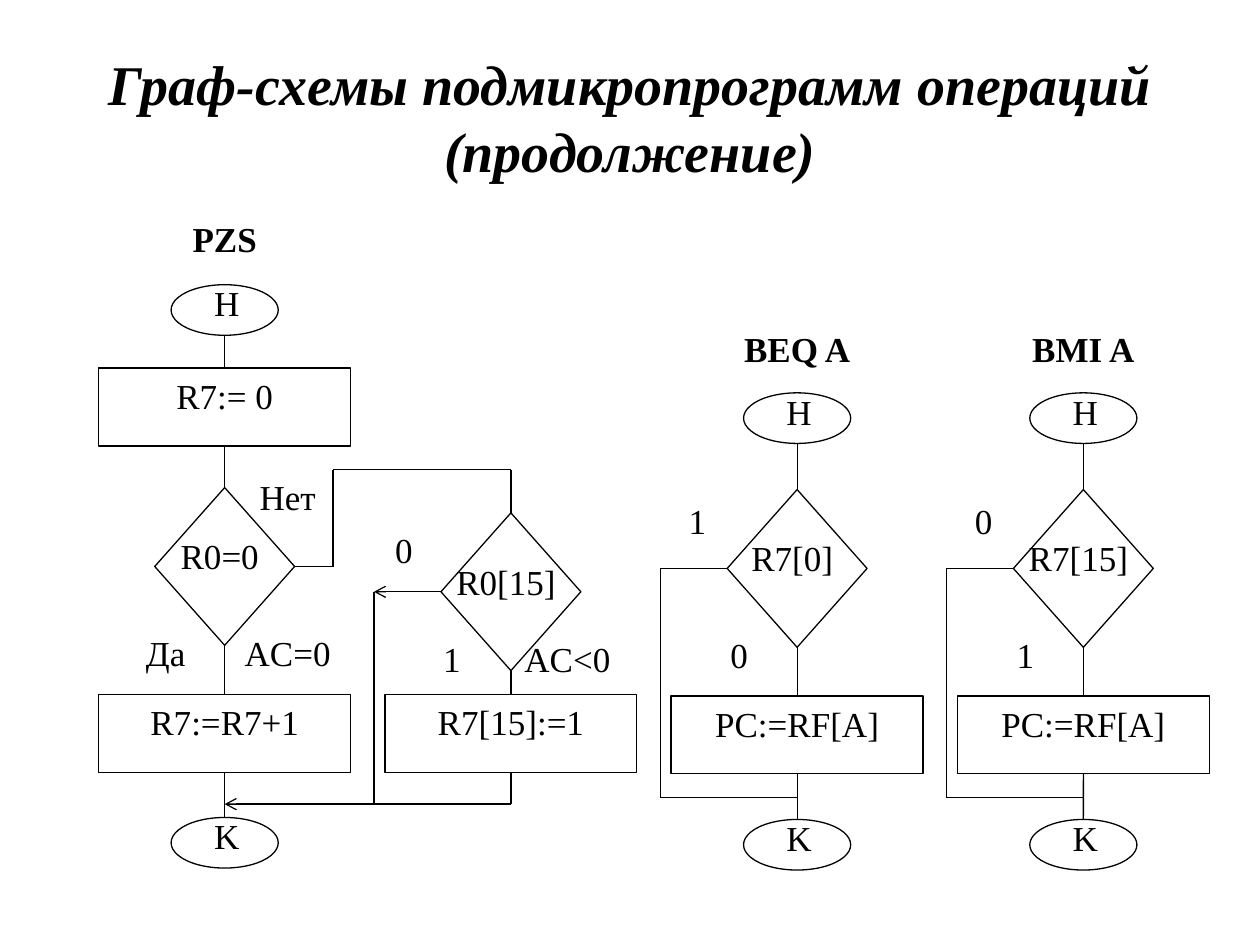
from dataclasses import dataclass

from lxml import etree
from pptx import Presentation
from pptx import util as u
from pptx.dml.color import RGBColor
from pptx.enum import shapes, text
from pptx.oxml import ns


@dataclass(frozen=True)
class Theme:
    font: str = "Times New Roman"
    ink: RGBColor = RGBColor(0, 0, 0)
    title_size: int = 32
    body_size: int = 20
    line_width: float = 0.75


TOP, LEFT, BOTTOM, RIGHT = range(4)
FIRST_AXIS, AXIS_STEP = 4.53, 5.77
LABEL = (2.87, 1.37)
TERMINAL = (2.16, 1.02)
OPERATION = (5.08, 1.57)
DECISION = (2.82, 3.18)


class Flowchart:
    """Draws on one slide; lengths are centimetres, x is the centre of an element."""

    def __init__(self, slide, theme):
        self.slide = slide
        self.theme = theme

    def style(self, para, size, bold=False, italic=False):
        para.alignment = text.PP_ALIGN.CENTER
        font = para.font
        font.name, font.size = self.theme.font, u.Pt(size)
        font.bold, font.italic = bold, italic
        font.color.rgb = self.theme.ink

    def title(self, wording):
        box = self.slide.shapes.title
        box.left, box.top = u.Cm(1.27), u.Cm(0.76)
        box.width, box.height = u.Cm(22.86), u.Cm(3.18)
        frame = box.text_frame
        frame.text = wording
        frame.word_wrap = True
        frame.auto_size = text.MSO_AUTO_SIZE.NONE
        frame.vertical_anchor = text.MSO_ANCHOR.MIDDLE
        self.style(frame.paragraphs[0], self.theme.title_size, True, True)

    def label(self, x, top, wording, bold=False):
        width, height = LABEL
        box = self.slide.shapes.add_textbox(
            u.Cm(x - width / 2), u.Cm(top), u.Cm(width), u.Cm(height))
        frame = box.text_frame
        frame.word_wrap = True
        frame.text = wording
        self.style(frame.paragraphs[0], self.theme.body_size, bold)

    def outline(self, kind, x, top, size):
        width, height = size
        shape = self.slide.shapes.add_shape(
            kind, u.Cm(x - width / 2), u.Cm(top), u.Cm(width), u.Cm(height))
        shape.shadow.inherit = False
        shape.fill.background()
        shape.line.color.rgb = self.theme.ink
        shape.line.width = u.Pt(self.theme.line_width)
        return shape

    def terminal(self, x, top, wording):
        shape = self.outline(shapes.MSO_SHAPE.OVAL, x, top, TERMINAL)
        self.label(x + 0.04, top - 0.18, wording)
        return shape

    def operation(self, x, top, wording):
        shape = self.outline(shapes.MSO_SHAPE.RECTANGLE, x, top, OPERATION)
        frame = shape.text_frame
        frame.vertical_anchor = text.MSO_ANCHOR.TOP
        frame.text = wording
        self.style(frame.paragraphs[0], self.theme.body_size)
        return shape

    def decision(self, x, top, wording):
        shape = self.outline(shapes.MSO_SHAPE.DIAMOND, x, top, DECISION)
        self.label(x - 0.1, top + 0.83, wording)
        return shape

    def line(self, start, end, arrow=False):
        """Each end is an (x, y) point or a (shape, side) pair to join."""
        points = [(0, 0) if hasattr(place[0], "shape_id")
                  else (u.Cm(place[0]), u.Cm(place[1])) for place in (start, end)]
        link = self.slide.shapes.add_connector(
            shapes.MSO_CONNECTOR.STRAIGHT, *points[0], *points[1])
        for place, join in ((start, link.begin_connect), (end, link.end_connect)):
            if hasattr(place[0], "shape_id"):
                join(*place)
        link.line.color.rgb = self.theme.ink
        link.line.width = u.Pt(self.theme.line_width)
        properties = link._element.spPr
        if arrow:
            etree.SubElement(properties.find(ns.qn("a:ln")),
                             ns.qn("a:tailEnd"), type="arrow")
        etree.SubElement(properties, ns.qn("a:effectLst"))

    def route(self, *places):
        for start, end in zip(places, places[1:]):
            self.line(start, end)


def draw_pzs(chart, axis, side_axis):
    chart.label(axis, 4.27, "PZS", bold=True)
    chart.terminal(axis, 5.74, "Н")
    reset = chart.operation(axis, 7.42, "R7:= 0")
    zero_test = chart.decision(axis, 9.83, "R0=0")
    increment = chart.operation(axis, 14, "R7:=R7+1")
    finish = chart.terminal(axis, 16.48, "K")
    chart.line((axis, 5.74 + TERMINAL[1]), (reset, TOP))
    chart.line((reset, BOTTOM), (zero_test, TOP))
    chart.line((zero_test, BOTTOM), (increment, TOP))
    chart.line((increment, BOTTOM), (finish, TOP))

    sign_test = chart.decision(side_axis, 10.34, "R0[15]")
    set_sign = chart.operation(side_axis, 14, "R7[15]:=1")
    chart.line((sign_test, BOTTOM), (set_sign, TOP))
    bend, over = 6.71, 9.47
    chart.route((zero_test, RIGHT), (bend, 9.83 + DECISION[1] / 2),
                (bend, over), (side_axis, over), (sign_test, TOP))

    bypass, merge = 7.54, 16.21
    bypass_top = 10.34 + DECISION[1] / 2
    chart.line((sign_test, LEFT), (bypass, bypass_top), arrow=True)
    chart.line((bypass, bypass_top), (bypass, merge))
    chart.line((set_sign, BOTTOM), (side_axis, merge))
    chart.line((side_axis, merge), (axis, merge), arrow=True)

    for x, top, wording in (
            (axis - 1.19, 12.6, "Да"), (axis + 1.27, 9.47, "Нет"),
            (axis + 1.27, 12.6, "AC=0"), (side_axis - 2.16, 10.52, "0"),
            (side_axis + 1.14, 12.73, "AC<0"), (side_axis - 1.19, 12.73, "1")):
        chart.label(x, top, wording)


def draw_branch(chart, axis, name, condition, skip, proceed):
    """A conditional jump whose skip value bypasses the loading of PC."""
    chart.label(axis, 6.48, name, bold=True)
    chart.terminal(axis, 7.92, "Н")
    test = chart.decision(axis, 9.87, condition)
    jump = chart.operation(axis, 14.03, "PC:=RF[A]")
    finish = chart.terminal(axis, 16.52, "K")
    chart.line((axis, 7.92 + TERMINAL[1]), (test, TOP))
    chart.line((test, BOTTOM), (jump, TOP))
    chart.line((jump, BOTTOM), (finish, TOP))
    bypass, merge = axis - 2.76, 16.08
    chart.route((test, LEFT), (bypass, 9.87 + DECISION[1] / 2),
                (bypass, merge), (axis, merge))
    chart.label(axis - 2.01, 9.95, skip)
    chart.label(axis - 1.17, 12.64, proceed)


def main():
    deck = Presentation()
    deck.slide_width, deck.slide_height = u.Cm(25.4), u.Cm(19.05)
    page = deck.slides.add_slide(deck.slide_layouts.get_by_name("Title Only"))
    chart = Flowchart(page, Theme())
    axes = [FIRST_AXIS + AXIS_STEP * column for column in range(4)]
    chart.title("Граф-схемы подмикропрограмм операций (продолжение)")
    draw_pzs(chart, axes[0], axes[1])
    draw_branch(chart, axes[2], "BEQ A", "R7[0]", "1", "0")
    draw_branch(chart, axes[3], "BMI A", "R7[15]", "0", "1")
    deck.save("out.pptx")


if __name__ == "__main__":
    main()
